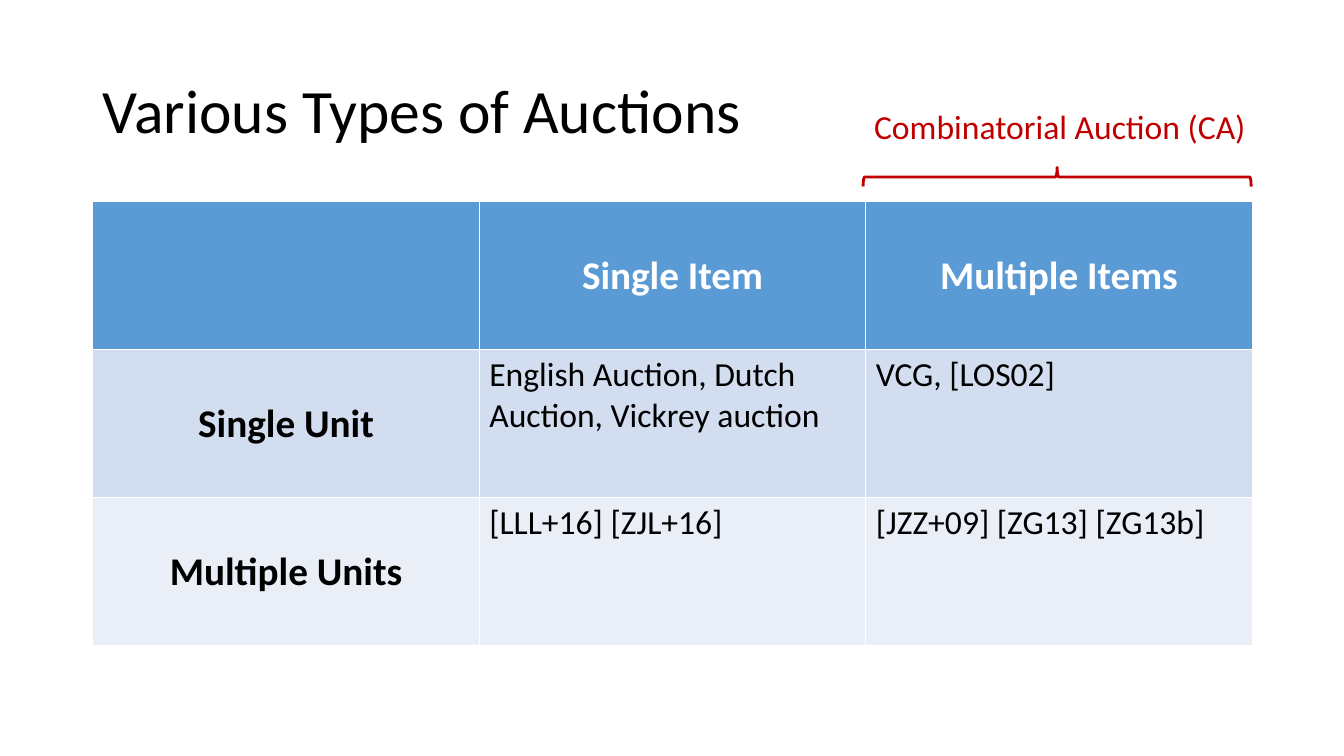
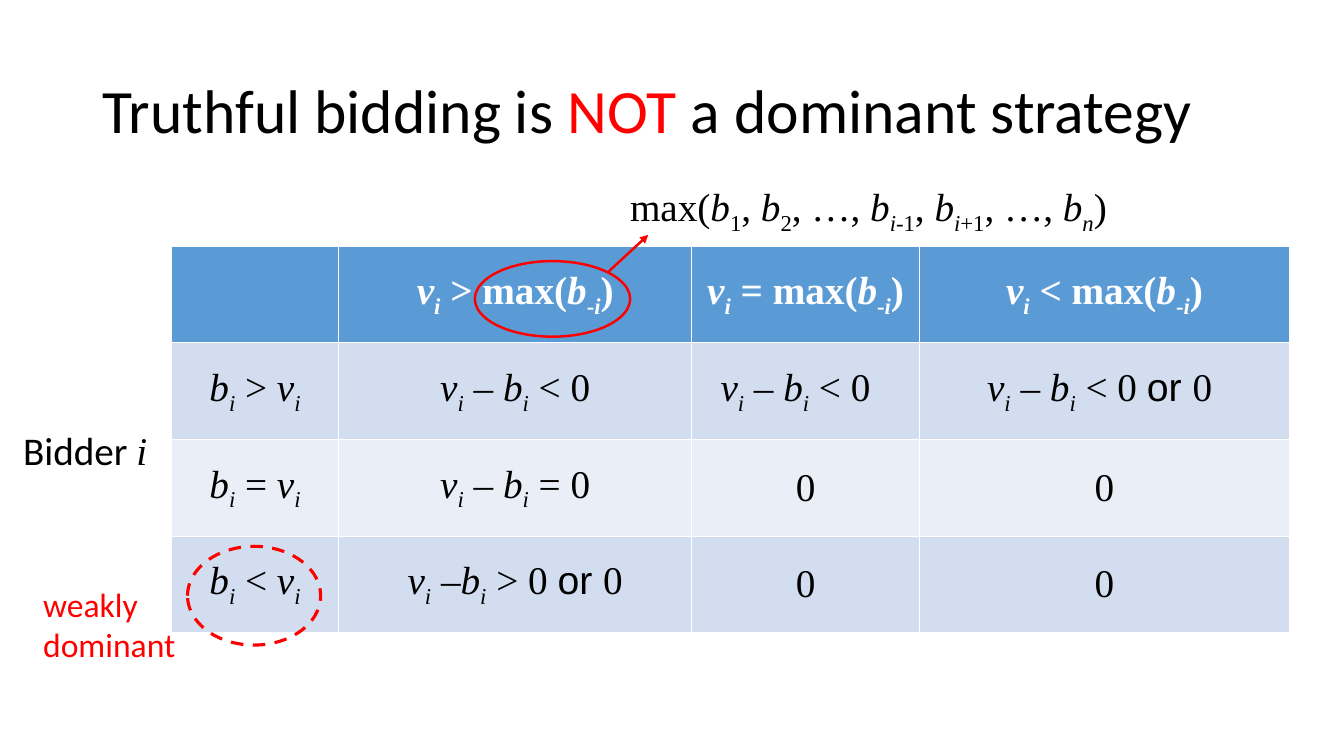
from dataclasses import dataclass

from lxml import etree
from pptx import Presentation
from pptx.dml.color import RGBColor
from pptx.enum import dml, shapes, text
from pptx.oxml import ns
from pptx.util import Inches, Pt


@dataclass(frozen=True)
class Theme:
    black: RGBColor = RGBColor(0x00, 0x00, 0x00)
    white: RGBColor = RGBColor(0xFF, 0xFF, 0xFF)
    red: RGBColor = RGBColor(0xFF, 0x00, 0x00)
    dark_red: RGBColor = RGBColor(0xC0, 0x00, 0x00)
    header: RGBColor = RGBColor(0x5B, 0x9B, 0xD5)
    bands: tuple = (RGBColor(0xD2, 0xDE, 0xEF), RGBColor(0xEA, 0xEF, 0xF7))
    body_font: str = "Calibri"
    math_font: str = "Times New Roman"
    word_font: str = "Arial"
    title_size: int = 44
    large_size: int = 28
    note_size: int = 24


THEME = Theme()
MARKS = {"*": "italic", "_": "subscript", "^": "red", "$": "math", "|": "word"}

AUCTION_ROWS = [
    ["", "Single Item", "Multiple Items"],
    ["Single Unit", "English Auction, Dutch Auction, Vickrey auction", "VCG, [LOS02]"],
    ["Multiple Units", "[LLL+16] [ZJL+16]", "[JZZ+09] [ZG13] [ZG13b]"],
]

OTHERS_MAX = "max(*b*_-*i*_)"
GAIN = "*v_i_* – *b_i_*"
STRATEGY_ROWS = [
    [""] + [f"*v_i_* {sign} {OTHERS_MAX}" for sign in ">=<"],
    ["*b_i_* > *v_i_*", f"{GAIN} < 0", f"{GAIN} < 0", f"{GAIN} < 0 |or |0 "],
    ["*b_i_* = *v_i_*", f"{GAIN} = 0", "0", "0"],
    ["*b_i_* < *v_i_*", "*v_i_* –*b_i_* > 0 |or |0", "0", "0"],
]


def split_markup(markup):
    active, piece = set(), ""
    for character in markup:
        if character not in MARKS:
            piece += character
            continue
        if piece:
            yield piece, frozenset(active)
        piece = ""
        active ^= {MARKS[character]}
    if piece:
        yield piece, frozenset(active)


def write(paragraph, markup, size, color=THEME.black, font=THEME.body_font, bold=False):
    paragraph.font.size = Pt(size)
    paragraph.font.name = font
    paragraph.font.bold = bold
    paragraph.font.color.rgb = color
    for piece, styles in split_markup(markup):
        run = paragraph.add_run()
        run.text = piece
        if "italic" in styles:
            run.font.italic = True
        if "subscript" in styles:
            run.font._element.set("baseline", "-25000")
        if "red" in styles:
            run.font.color.rgb = THEME.red
        if "math" in styles:
            run.font.name = THEME.math_font
        if "word" in styles:
            run.font.name = THEME.word_font


def add_text(slide, box, markup, size, wrap=False, **style):
    frame = slide.shapes.add_textbox(*map(Inches, box)).text_frame
    frame.word_wrap = wrap
    frame.auto_size = text.MSO_AUTO_SIZE.SHAPE_TO_FIT_TEXT
    write(frame.paragraphs[0], markup, size, **style)
    return frame


def add_title(slide, markup):
    frame = add_text(slide, (0.92, 0.4, 11.5, 1.45), markup, THEME.title_size, wrap=True)
    frame.auto_size = text.MSO_AUTO_SIZE.NONE
    frame.vertical_anchor = text.MSO_ANCHOR.MIDDLE
    frame.paragraphs[0].line_spacing = 0.9


def add_table(slide, left, top, widths, row_height, rows, font, bold_labels, note_cells):
    size = (sum(widths), row_height * len(rows))
    table = slide.shapes.add_table(
        len(rows), len(widths), *map(Inches, (left, top, *size))
    ).table
    for column, width in zip(table.columns, widths):
        column.width = Inches(width)
    for row_index, row in enumerate(rows):
        is_header = row_index == 0
        for column_index, markup in enumerate(row):
            cell = table.cell(row_index, column_index)
            cell.fill.solid()
            cell.fill.fore_color.rgb = (
                THEME.header if is_header else THEME.bands[(row_index - 1) % 2]
            )
            is_note = note_cells and not is_header and column_index > 0
            paragraph = cell.text_frame.paragraphs[0]
            if not is_note:
                cell.vertical_anchor = text.MSO_ANCHOR.MIDDLE
                paragraph.alignment = text.PP_ALIGN.CENTER
            write(
                paragraph,
                markup,
                THEME.note_size if is_note else THEME.large_size,
                color=THEME.white if is_header else THEME.black,
                font=font,
                bold=is_header or (bold_labels and column_index == 0),
            )
    return table


def add_outline(slide, kind, box, color, width):
    shape = slide.shapes.add_shape(kind, *map(Inches, box))
    shape.shadow.inherit = False
    shape.fill.background()
    shape.line.color.rgb = color
    shape.line.width = Pt(width)
    return shape


def add_arrow(slide, start, end, color, width):
    arrow = slide.shapes.add_connector(
        shapes.MSO_CONNECTOR.STRAIGHT, *map(Inches, (*start, *end))
    )
    arrow.line.color.rgb = color
    arrow.line.width = Pt(width)
    etree.SubElement(arrow.line._get_or_add_ln(), ns.qn("a:tailEnd"), type="triangle")
    etree.SubElement(arrow._element.spPr, ns.qn("a:effectLst"))


def build_auction_types(slide):
    add_title(slide, "Various Types of Auctions")
    add_table(
        slide, 0.92, 2, [11.5 / 3] * 3, 1.47, AUCTION_ROWS,
        font=THEME.body_font, bold_labels=True, note_cells=True,
    )
    brace = add_outline(
        slide, shapes.MSO_SHAPE.RIGHT_BRACE, (10.39, -0.17, 0.19, 3.85), THEME.dark_red, 2
    )
    brace.rotation = 270
    add_text(
        slide, (8.57, 1, 3.92, 0.5), "Combinatorial Auction (CA)",
        THEME.note_size, color=THEME.dark_red,
    )


def build_dominant_strategy(slide):
    add_title(slide, "Truthful bidding is ^NOT^ a dominant strategy")
    table = add_table(
        slide, 1.7, 2.44, [1.66, 3.5, 2.26, 3.67], 0.96, STRATEGY_ROWS,
        font=THEME.math_font, bold_labels=False, note_cells=False,
    )
    table.cell(1, 2).margin_right = Inches(0.3)
    add_text(slide, (0.13, 4.18, 1.45, 0.57), "Bidder $*i*$", THEME.large_size)
    add_text(
        slide, (0.33, 5.74, 1.53, 0.91), "weakly dominant",
        THEME.note_size, wrap=True, color=THEME.red,
    )
    ellipse = shapes.MSO_SHAPE.OVAL
    weak_choice = add_outline(slide, ellipse, (1.86, 5.42, 1.32, 0.98), THEME.red, 2.25)
    weak_choice.line.dash_style = dml.MSO_LINE.DASH
    add_text(
        slide, (6.15, 1.76, 5.12, 0.57),
        "max(*b*_1_, *b*_2_, …, *b_i_*_-1_, *b_i_*_+1_, …, *b_n_*)",
        THEME.large_size, font=THEME.math_font,
    )
    add_outline(slide, ellipse, (4.71, 2.59, 1.54, 0.75), THEME.red, 1.75)
    add_arrow(slide, (6.03, 2.7), (6.43, 2.33), THEME.red, 1.75)


def main():
    presentation = Presentation()
    presentation.slide_width = Inches(13.33)
    presentation.slide_height = Inches(7.5)
    blank_layout = presentation.slide_layouts[6]
    for build in (build_auction_types, build_dominant_strategy):
        build(presentation.slides.add_slide(blank_layout))
    presentation.save("out.pptx")


if __name__ == "__main__":
    main()
